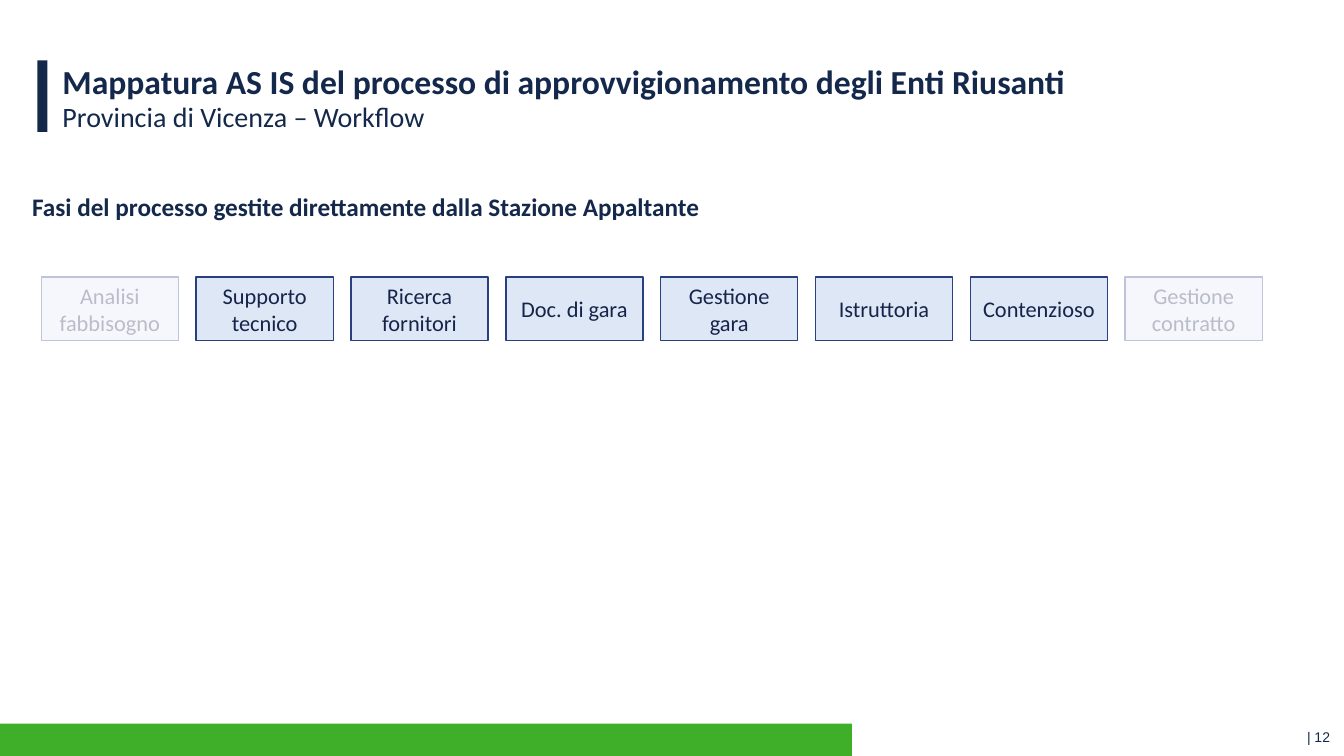
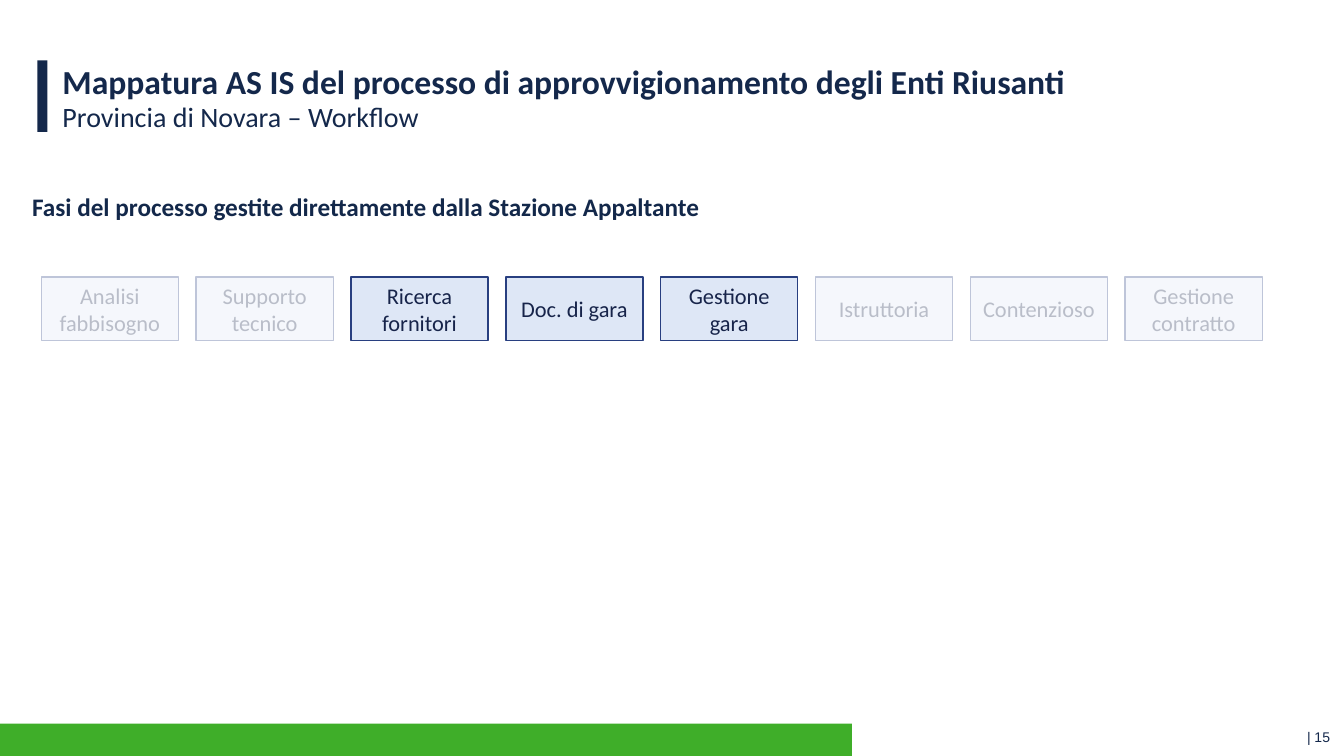
from dataclasses import dataclass
from typing import Optional

import pptx
import pptx.dml.color
import pptx.enum.shapes
import pptx.enum.text
import pptx.oxml.ns
import pptx.presentation
import pptx.shapes.autoshape
import pptx.slide
import pptx.util
from lxml import etree

Inches = pptx.util.Inches
Align = pptx.enum.text.PP_ALIGN
Anchor = pptx.enum.text.MSO_ANCHOR


@dataclass(frozen=True)
class Theme:
    navy: str = "14284B"
    heading_navy: str = "13284A"
    stage_text: str = "17244A"
    stage_fill: str = "DEE7F6"
    stage_line: str = "283F80"
    green: str = "3FAE29"
    white: str = "FFFFFF"
    font: str = "Calibri"
    number_font: str = "Arial"
    title_size: int = 24
    subtitle_size: int = 20
    heading_size: int = 18
    stage_size: int = 16
    number_size: int = 10
    veil_opacity: int = 70


@dataclass(frozen=True)
class Area:
    left: float
    top: float
    width: float
    height: float

    def lengths(self) -> tuple[pptx.util.Length, ...]:
        return tuple(Inches(value) for value in (self.left, self.top, self.width, self.height))


@dataclass(frozen=True)
class TextStyle:
    size: int
    color: str
    bold: bool = False
    font: str = "Calibri"
    align: Align = Align.LEFT


@dataclass(frozen=True)
class Veil:
    left: float
    width: float


@dataclass(frozen=True)
class Workflow:
    province: str
    number: int
    veils: tuple[Veil, ...]


THEME = Theme()
TITLE_STYLE = TextStyle(THEME.title_size, THEME.navy, bold=True)
SUBTITLE_STYLE = TextStyle(THEME.subtitle_size, THEME.navy)
HEADING_STYLE = TextStyle(THEME.heading_size, THEME.heading_navy, bold=True)
STAGE_STYLE = TextStyle(THEME.stage_size, THEME.stage_text, align=Align.CENTER)
NUMBER_STYLE = TextStyle(THEME.number_size, THEME.navy, font=THEME.number_font, align=Align.RIGHT)

TITLE = "Mappatura AS IS del processo di approvvigionamento degli Enti Riusanti"
HEADING = "Fasi del processo gestite direttamente dalla Stazione Appaltante"
STAGES = (
    "Analisi fabbisogno",
    "Supporto tecnico",
    "Ricerca fornitori",
    "Doc. di gara",
    "Gestione gara",
    "Istruttoria",
    "Contenzioso",
    "Gestione contratto",
)
FIRST_STAGE = Area(0.41, 2.75, 1.36, 0.63)
LAST_STAGE_LEFT = 11.16
STAGE_PITCH = (LAST_STAGE_LEFT - FIRST_STAGE.left) / (len(STAGES) - 1)
VEIL_TOP = 2.33
VEIL_HEIGHT = 1.65

WORKFLOWS = (
    Workflow("Provincia di Vicenza", 12, (Veil(0.27, 1.57), Veil(11.08, 1.57))),
    Workflow("Provincia di Novara", 15, (Veil(0.27, 3.11), Veil(8.05, 4.69))),
)


def rgb(color: str) -> pptx.dml.color.RGBColor:
    return pptx.dml.color.RGBColor.from_string(color)


def write(box: pptx.shapes.autoshape.Shape, text: str, style: TextStyle) -> None:
    para = box.text_frame.paragraphs[0]
    para.text = text
    para.alignment = style.align
    for span in para.runs:
        span.font.name = style.font
        span.font.size = pptx.util.Pt(style.size)
        span.font.bold = style.bold
        span.font.color.rgb = rgb(style.color)


def add_text(
    page: pptx.slide.Slide,
    area: Area,
    text: str,
    style: TextStyle,
    tight: bool = False,
    wrap: bool = True,
) -> None:
    box = page.shapes.add_textbox(*area.lengths())
    frame = box.text_frame
    frame.word_wrap = wrap
    if tight:
        frame.margin_left = frame.margin_right = Inches(0.04)
        frame.margin_top = frame.margin_bottom = Inches(0)
    write(box, text, style)


def add_rectangle(
    page: pptx.slide.Slide, area: Area, fill: str, line: Optional[str] = None
) -> pptx.shapes.autoshape.Shape:
    box = page.shapes.add_shape(pptx.enum.shapes.MSO_SHAPE.RECTANGLE, *area.lengths())
    box.shadow.inherit = False
    box.fill.solid()
    box.fill.fore_color.rgb = rgb(fill)
    if line is None:
        box.line.fill.background()
    else:
        box.line.color.rgb = rgb(line)
        box.line.width = pptx.util.Pt(1)
    return box


def add_stage(page: pptx.slide.Slide, index: int, label: str) -> None:
    left = FIRST_STAGE.left + index * STAGE_PITCH
    area = Area(left, FIRST_STAGE.top, FIRST_STAGE.width, FIRST_STAGE.height)
    box = add_rectangle(page, area, THEME.stage_fill, THEME.stage_line)
    box.text_frame.word_wrap = True
    box.text_frame.vertical_anchor = Anchor.MIDDLE
    write(box, label, STAGE_STYLE)


def add_veil(page: pptx.slide.Slide, veil: Veil) -> None:
    box = add_rectangle(page, Area(veil.left, VEIL_TOP, veil.width, VEIL_HEIGHT), THEME.white)
    qn = pptx.oxml.ns.qn
    color = box.fill._xPr.find(qn("a:solidFill")).find(qn("a:srgbClr"))
    etree.SubElement(color, qn("a:alpha")).set("val", str(THEME.veil_opacity * 1000))


def add_frame(page: pptx.slide.Slide, subtitle: str, number: int) -> None:
    add_rectangle(page, Area(0, 7.18, 8.45, 0.32), THEME.green)
    add_rectangle(page, Area(0.37, 0.6, 0.1, 0.71), THEME.navy)
    add_text(page, Area(10.13, 7.18, 3.16, 0.27), f"| {number}", NUMBER_STYLE)
    add_text(page, Area(0.58, 0.6, 12, 0.39), TITLE, TITLE_STYLE, tight=True)
    add_text(page, Area(0.58, 0.99, 12, 0.39), subtitle, SUBTITLE_STYLE, tight=True)


def add_workflow(deck: pptx.presentation.Presentation, workflow: Workflow) -> None:
    page = deck.slides.add_slide(deck.slide_layouts[6])
    add_frame(page, f"{workflow.province} – Workflow", workflow.number)
    for index, label in enumerate(STAGES):
        add_stage(page, index, label)
    add_text(page, Area(0.22, 1.85, 6.88, 0.4), HEADING, HEADING_STYLE, wrap=False)
    for veil in workflow.veils:
        add_veil(page, veil)


def main() -> None:
    deck = pptx.Presentation()
    deck.slide_width = Inches(13.33)
    deck.slide_height = Inches(7.5)
    for workflow in WORKFLOWS:
        add_workflow(deck, workflow)
    deck.save("out.pptx")


if __name__ == "__main__":
    main()
